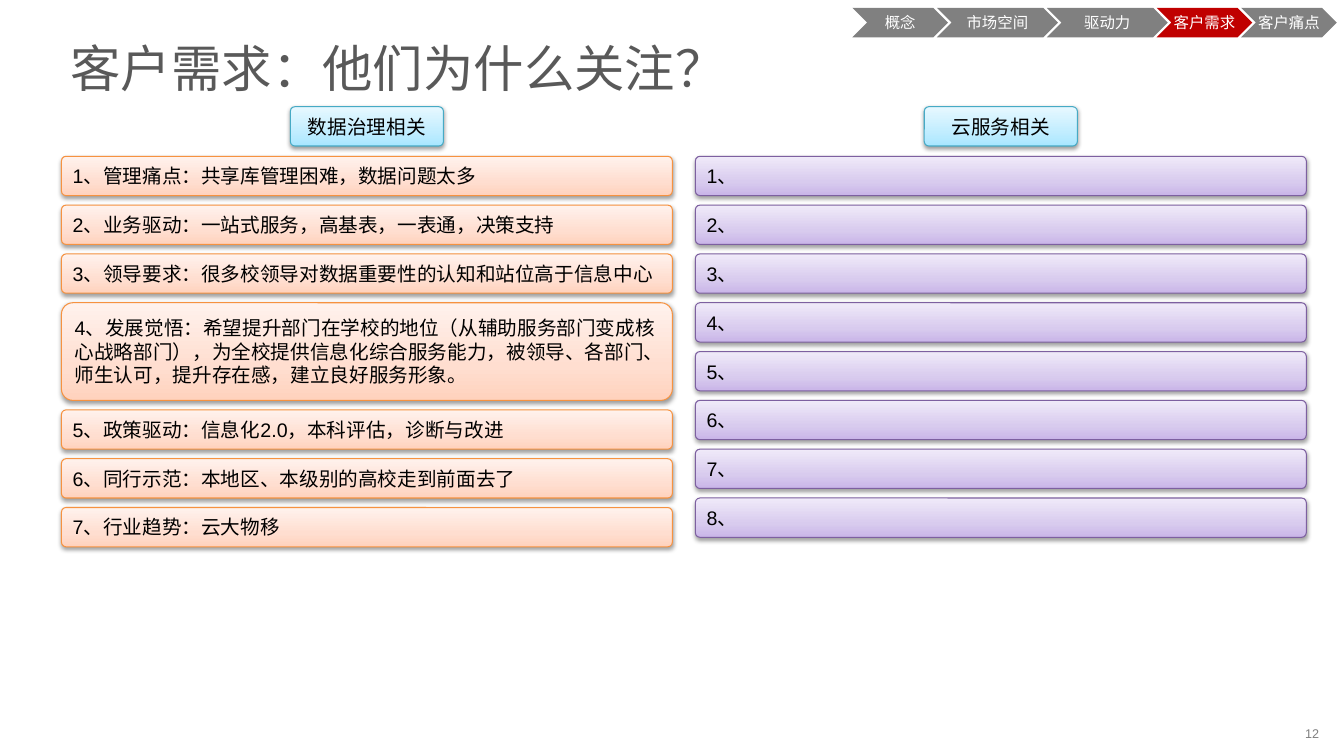
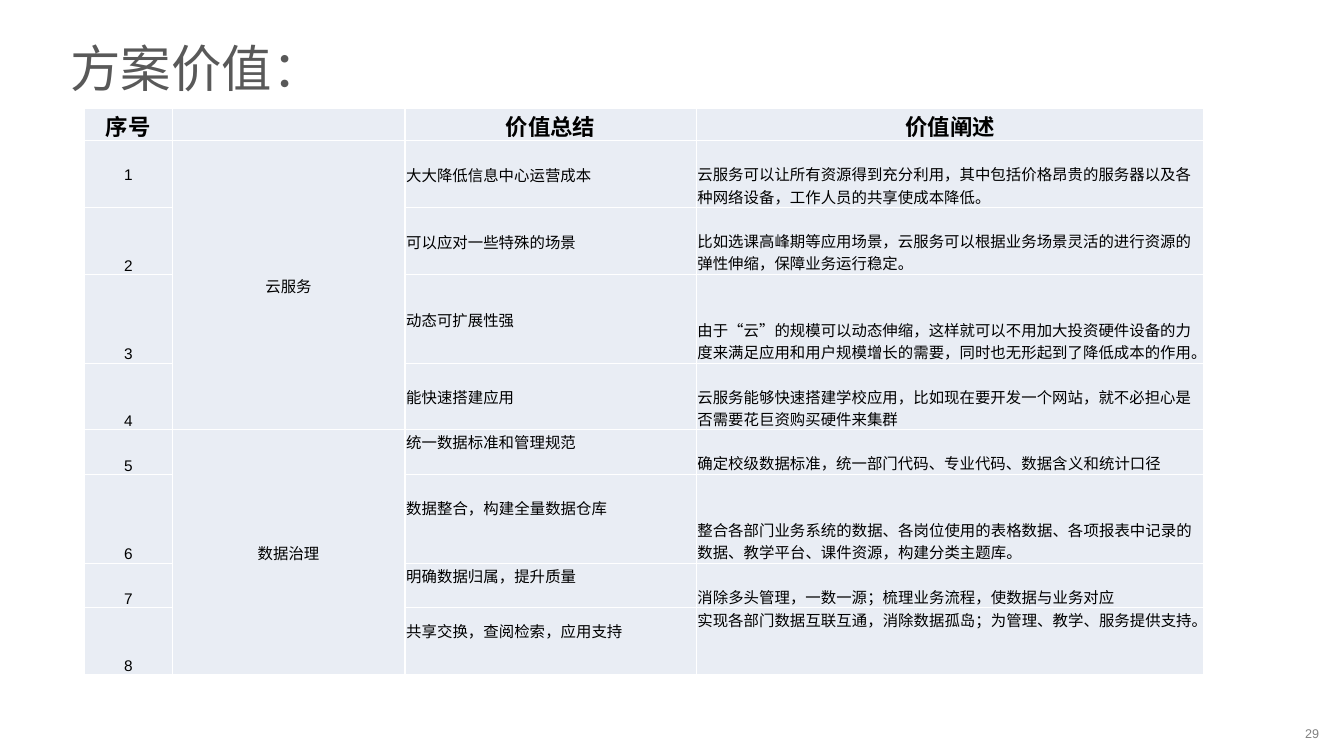
from copy import deepcopy
from itertools import product

from pptx import Presentation
from pptx.dml.color import RGBColor
from pptx.enum.lang import MSO_LANGUAGE_ID as Language
from pptx.enum.shapes import MSO_SHAPE as Shape
from pptx.enum.text import MSO_ANCHOR as Anchor, PP_ALIGN as Align
from pptx.oxml import parse_xml
from pptx.oxml.ns import nsdecls, qn
from pptx.util import Cm, Pt

BLACK = RGBColor(0x00, 0x00, 0x00)
WHITE = RGBColor(0xFF, 0xFF, 0xFF)
GRAY = RGBColor(0x80, 0x80, 0x80)
TITLE_GRAY = RGBColor(0x59, 0x59, 0x59)
RED = RGBColor(0xC0, 0x00, 0x00)
CELL_FILL = RGBColor(0xE9, 0xED, 0xF4)
ORANGE_LINE = RGBColor(0xF6, 0x92, 0x40)
ORANGE_STOPS = (RGBColor(0xFF, 0xD2, 0xBD), RGBColor(0xFF, 0xDE, 0xD0), RGBColor(0xFF, 0xF2, 0xED))
PURPLE_LINE = RGBColor(0x7D, 0x60, 0xA0)
PURPLE_STOPS = (RGBColor(0xC9, 0xB5, 0xE8), RGBColor(0xD8, 0xCB, 0xEE), RGBColor(0xF0, 0xEA, 0xF9))
BLUE_LINE = RGBColor(0x46, 0xAA, 0xC5)
BLUE_STOPS = (RGBColor(0xA7, 0xE6, 0xFF), RGBColor(0xC1, 0xED, 0xFF), RGBColor(0xE7, 0xF8, 0xFF))
ORANGE = (ORANGE_LINE, ORANGE_STOPS)
PURPLE = (PURPLE_LINE, PURPLE_STOPS)
BLUE = (BLUE_LINE, BLUE_STOPS)

FONT = "Arial"
STOP_POSITIONS = (0, 0.35, 1)
BAR_HEIGHT = Cm(0.99)
TALL_BAR_HEIGHT = Cm(2.46)
BAR_GAP = Cm(0.24)
LINE_HEIGHT = Cm(0.56)

STEPS = [
    ("概念", Cm(2.41)),
    ("市场空间", Cm(3.05)),
    ("驱动力", Cm(3.05)),
    ("客户需求", Cm(2.41)),
    ("客户痛点", Cm(2.41)),
]
GOVERNANCE_NEEDS = [
    "1、管理痛点：共享库管理困难，数据问题太多",
    "2、业务驱动：一站式服务，高基表，一表通，决策支持",
    "3、领导要求：很多校领导对数据重要性的认知和站位高于信息中心",
    "4、发展觉悟：希望提升部门在学校的地位（从辅助服务部门变成核心战略部门），"
    "为全校提供信息化综合服务能力，被领导、各部门、师生认可，提升存在感，建立良好服务形象。",
    "5、政策驱动：信息化2.0，本科评估，诊断与改进",
    "6、同行示范：本地区、本级别的高校走到前面去了",
    "7、行业趋势：云大物移",
]
CLOUD_NEEDS = [f"{number}、" for number in range(1, 9)]

HEADERS = ("序号", "", "价值总结", "价值阐述")
GROUPS = ("云服务", "数据治理")
GROUP_SIZE = 4
VALUES = [
    (3, "大大降低信息中心运营成本",
     "云服务可以让所有资源得到充分利用，其中包括价格昂贵的服务器以及各种网络设备，工作人员的共享使成本降低。"),
    (3, "可以应对一些特殊的场景",
     "比如选课高峰期等应用场景，云服务可以根据业务场景灵活的进行资源的弹性伸缩，保障业务运行稳定。"),
    (4, "动态可扩展性强",
     "由于“云”的规模可以动态伸缩，这样就可以不用加大投资硬件设备的力度来满足应用和用户规模增长的需要，"
     "同时也无形起到了降低成本的作用。"),
    (3, "能快速搭建应用",
     "云服务能够快速搭建学校应用，比如现在要开发一个网站，就不必担心是否需要花巨资购买硬件来集群"),
    (2, "统一数据标准和管理规范",
     "确定校级数据标准，统一部门代码、专业代码、数据含义和统计口径"),
    (4, "数据整合，构建全量数据仓库",
     "整合各部门业务系统的数据、各岗位使用的表格数据、各项报表中记录的数据、教学平台、课件资源，构建分类主题库。"),
    (2, "明确数据归属，提升质量",
     "消除多头管理，一数一源；梳理业务流程，使数据与业务对应"),
    (3, "共享交换，查阅检索，应用支持",
     "实现各部门数据互联互通，消除数据孤岛；为管理、教学、服务提供支持。"),
]


def write(text_frame, text, size, color, align=Align.LEFT, bold=False):
    text_frame.text = text
    paragraph = text_frame.paragraphs[0]
    paragraph.alignment = align
    for run in paragraph.runs:
        font = run.font
        font.name, font.size, font.bold = FONT, Pt(size), bold
        font.color.rgb = color
        font.language_id = Language.SIMPLIFIED_CHINESE


def add_titled_slide(presentation, title, number):
    slide = presentation.slides.add_slide(presentation.slide_layouts[5])
    shape = slide.shapes.title
    shape.left, shape.top, shape.width, shape.height = Cm(1.45), Cm(0.46), Cm(31), Cm(2.46)
    frame = shape.text_frame
    frame.vertical_anchor = Anchor.MIDDLE
    frame.margin_left = frame.margin_right = Cm(0.33)
    frame.margin_top = frame.margin_bottom = Cm(0.18)
    write(frame, title, 36, TITLE_GRAY)

    frame = slide.shapes.add_textbox(Cm(32.9), Cm(18.19), Cm(0.91), Cm(0.6)).text_frame
    frame.margin_left = frame.margin_right = frame.margin_top = frame.margin_bottom = 0
    frame.word_wrap = True
    frame.vertical_anchor = Anchor.MIDDLE
    write(frame, str(number), 9, GRAY)
    return slide


def add_step_trail(slide, left, top, height, active):
    shapes = slide.shapes.add_group_shape().shapes
    for label, width in STEPS:
        shape = shapes.add_shape(Shape.CHEVRON, left, top, width, height)
        shape.shadow.inherit = False
        shape.fill.solid()
        shape.fill.fore_color.rgb = RED if label == active else GRAY
        shape.line.fill.background()
        frame = shape.text_frame
        frame.margin_left = frame.margin_right = 0
        frame.vertical_anchor = Anchor.MIDDLE
        write(frame, label, 11, WHITE, Align.CENTER)
        left += width - Cm(0.28)


def add_bar(slide, text, left, top, width, height, palette, align=Align.LEFT):
    line_color, stop_colors = palette
    shape = slide.shapes.add_shape(Shape.ROUNDED_RECTANGLE, left, top, width, height)
    shape.adjustments[0] = 0.117
    shape.line.color.rgb = line_color
    shape.line.width = Pt(0.75)

    shape.fill.gradient()
    shape.fill.gradient_angle = 90
    properties = shape._element.spPr
    stop_list = properties.find(qn("a:gradFill")).find(qn("a:gsLst"))
    stop_list.append(deepcopy(stop_list[0]))
    for stop, position, color in zip(shape.fill.gradient_stops, STOP_POSITIONS, stop_colors):
        stop.position = position
        stop.color.rgb = color

    shape.shadow.inherit = False
    properties.find(qn("a:effectLst")).append(parse_xml(
        f'<a:outerShdw {nsdecls("a")} blurRad="40000" dist="20000" dir="5400000" rotWithShape="0">'
        '<a:srgbClr val="000000"><a:alpha val="38000"/></a:srgbClr></a:outerShdw>'))

    frame = shape.text_frame
    frame.word_wrap = True
    frame.vertical_anchor = Anchor.MIDDLE
    write(frame, text, 14, BLACK, align)


def add_needs_column(slide, left, top, width, heading, needs, palette):
    heading_width = Cm(3.86)
    add_bar(slide, heading, left + (width - heading_width) // 2, top,
            heading_width, BAR_HEIGHT, BLUE, Align.CENTER)
    top += Cm(1.25)
    for need in needs:
        height = TALL_BAR_HEIGHT if len(need) > 40 else BAR_HEIGHT
        add_bar(slide, need, left, top, width, height, palette)
        top += height + BAR_GAP


def fill_cell(cell, text, anchor, align=Align.LEFT, size=11, bold=False):
    cell.vertical_anchor = anchor
    write(cell.text_frame, text, size, BLACK, align, bold)


def add_value_table(slide, left, top, widths):
    heights = [Cm(0.81)] + [lines * LINE_HEIGHT for lines, _, _ in VALUES]
    table = slide.shapes.add_table(len(heights), len(widths), left, top,
                                   sum(widths), sum(heights)).table
    table.first_row = table.horz_banding = False
    for column, width in zip(table.columns, widths):
        column.width = width
    for row, height in zip(table.rows, heights):
        row.height = height
    for row, column in product(range(len(heights)), range(len(widths))):
        cell = table.cell(row, column)
        cell.fill.solid()
        cell.fill.fore_color.rgb = CELL_FILL
        cell.margin_left = cell.margin_right = cell.margin_top = Cm(0.03)
        cell.margin_bottom = 0

    for column, header in enumerate(HEADERS):
        fill_cell(table.cell(0, column), header, Anchor.BOTTOM, Align.CENTER, 16, True)
    for index, group in enumerate(GROUPS):
        first = 1 + index * GROUP_SIZE
        table.cell(first, 1).merge(table.cell(first + GROUP_SIZE - 1, 1))
        fill_cell(table.cell(first, 1), group, Anchor.MIDDLE, Align.CENTER)
    for row, (_, summary, detail) in enumerate(VALUES, 1):
        fill_cell(table.cell(row, 0), str(row),
                  Anchor.MIDDLE if row == 1 else Anchor.BOTTOM, Align.CENTER)
        fill_cell(table.cell(row, 2), summary, Anchor.MIDDLE)
        if row > GROUP_SIZE:
            table.cell(row, 2).margin_bottom = LINE_HEIGHT
        fill_cell(table.cell(row, 3), detail,
                  Anchor.TOP if row == len(VALUES) else Anchor.BOTTOM)


def add_needs_slide(presentation):
    slide = add_titled_slide(presentation, "客户需求：他们为什么关注？", 12)
    add_step_trail(slide, Cm(21.49), Cm(0.2), Cm(0.74), "客户需求")
    add_needs_column(slide, Cm(1.55), Cm(2.69), Cm(15.4), "数据治理相关", GOVERNANCE_NEEDS, ORANGE)
    add_needs_column(slide, Cm(17.53), Cm(2.69), Cm(15.4), "云服务相关", CLOUD_NEEDS, PURPLE)


def add_value_slide(presentation):
    slide = add_titled_slide(presentation, "方案价值：", 29)
    add_value_table(slide, Cm(2.13), Cm(2.74), (Cm(2.21), Cm(5.87), Cm(7.34), Cm(12.8)))


def main():
    presentation = Presentation()
    presentation.slide_width, presentation.slide_height = Cm(33.88), Cm(19.05)
    add_needs_slide(presentation)
    add_value_slide(presentation)
    presentation.save("out.pptx")


if __name__ == "__main__":
    main()
